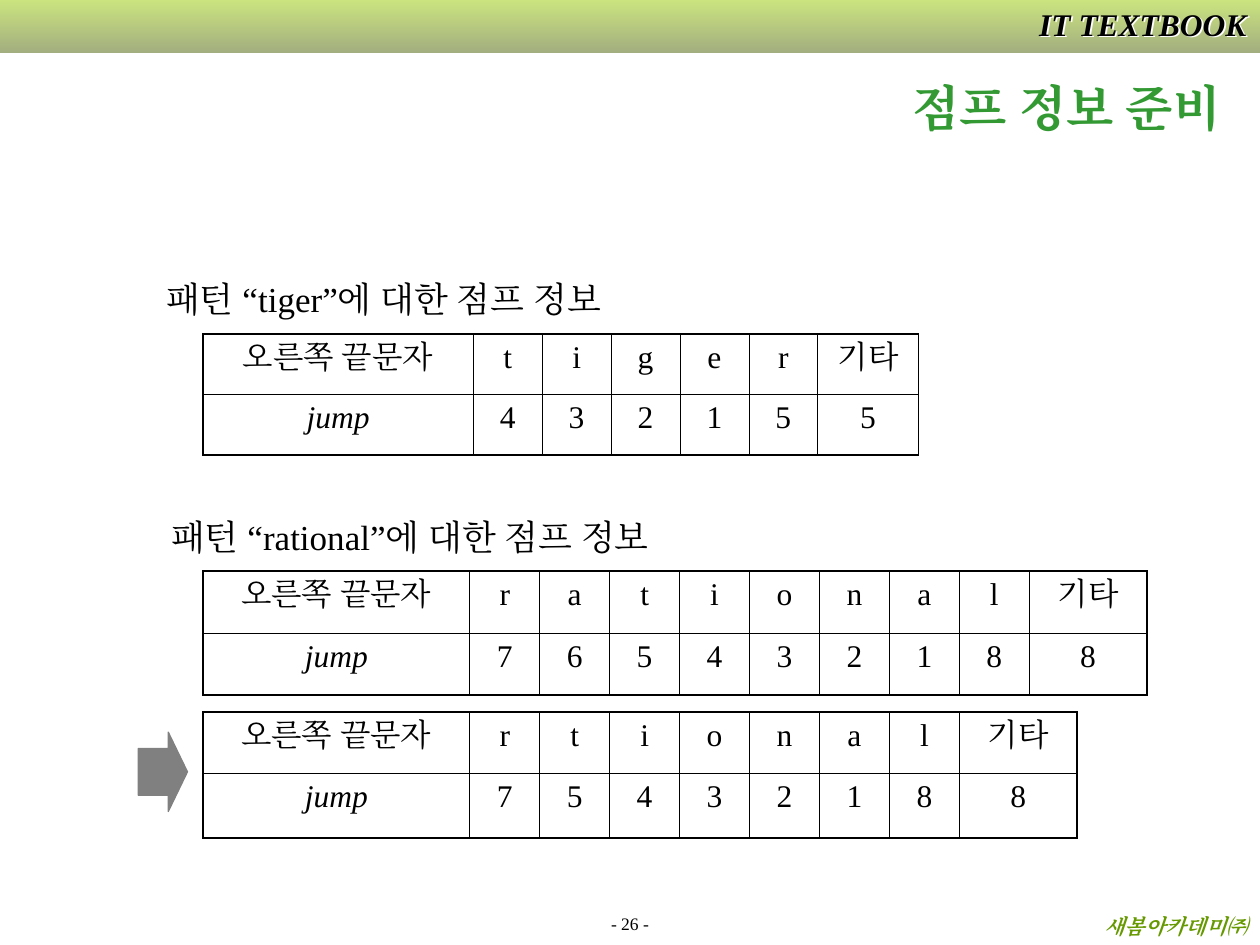
from lxml import etree
from pptx import Presentation
from pptx import util as u
from pptx.dml.color import RGBColor
from pptx.enum import shapes, text
from pptx.oxml import ns

Cm, Pt = u.Cm, u.Pt
LEFT, CENTER, RIGHT = text.PP_ALIGN.LEFT, text.PP_ALIGN.CENTER, text.PP_ALIGN.RIGHT
TOP, MIDDLE, BOTTOM = text.MSO_ANCHOR.TOP, text.MSO_ANCHOR.MIDDLE, text.MSO_ANCHOR.BOTTOM


def rgb(hex_value):
    return RGBColor.from_string(hex_value)


def add_xml(parent, tag, **attributes):
    return etree.SubElement(parent, ns.qn(tag), attributes)


class SlideBuilder:
    font = "Times New Roman"
    ink = "000000"
    outer_line, inner_line = 1.08, 0.45

    def __init__(self, slide):
        self.slide = slide

    def format_runs(self, frame, size, color=ink, bold=False, italic=False, align=LEFT):
        for paragraph in frame.paragraphs:
            paragraph.alignment = align
            for run in paragraph.runs:
                run.font.name = self.font
                run.font.size = Pt(size)
                run.font.bold = bold
                run.font.italic = italic
                run.font.color.rgb = rgb(color)
                latin = run._r.rPr.find(ns.qn("a:latin"))
                east_asian = etree.Element(ns.qn("a:ea"), typeface=self.font)
                latin.addnext(east_asian)

    def title(self, words, box, size, color):
        heading = self.slide.shapes.title
        heading.left, heading.top, heading.width, heading.height = map(Cm, box)
        frame = heading.text_frame
        frame.text = words
        frame.vertical_anchor = MIDDLE
        frame.auto_size = text.MSO_AUTO_SIZE.NONE
        self.format_runs(frame, size, color, bold=True, align=CENTER)

    def label(self, words, box, size, anchor=TOP, **style):
        label = self.slide.shapes.add_textbox(*map(Cm, box))
        frame = label.text_frame
        frame.word_wrap = True
        frame.vertical_anchor = anchor
        frame.text = words
        self.format_runs(frame, size, **style)
        return label

    def text_shadow(self, label, color):
        effects = add_xml(label._element.spPr, "a:effectLst")
        shadow = add_xml(effects, "a:outerShdw", dist="17961", dir="2700000")
        add_xml(shadow, "a:srgbClr", val=color)

    def shape(self, kind, box):
        figure = self.slide.shapes.add_shape(kind, *map(Cm, box))
        figure.shadow.inherit = False
        return figure

    def gradient_band(self, box, colors, opacity):
        band = self.shape(shapes.MSO_SHAPE.RECTANGLE, box)
        band.line.fill.background()
        band.fill.gradient()
        band.fill.gradient_angle = 270
        for stop, color, position in zip(band.fill.gradient_stops, colors, (0, 1)):
            stop.color.rgb = rgb(color)
            stop.position = position
        for color_xml in band._element.spPr.iter(ns.qn("a:srgbClr")):
            add_xml(color_xml, "a:alpha", val=str(opacity * 1000))

    def arrow(self, box, color, adjustments):
        arrow = self.shape(shapes.MSO_SHAPE.RIGHT_ARROW, box)
        arrow.fill.solid()
        arrow.fill.fore_color.rgb = rgb(color)
        arrow.line.color.rgb = rgb(color)
        arrow.line.width = Pt(0.75)
        for index, value in enumerate(adjustments):
            arrow.adjustments[index] = value

    def border(self, cell, side, outer):
        width = Pt(self.outer_line if outer else self.inner_line)
        line = add_xml(cell._tc.get_or_add_tcPr(), f"a:ln{side}", w=str(width))
        add_xml(add_xml(line, "a:solidFill"), "a:srgbClr", val=self.ink)

    def jump_table(self, top, letters, jumps, widths, heights):
        first, middle, last = widths
        columns = [first] + [middle] * len(letters) + [last]
        rows = [["오른쪽 끝문자", *letters, "기타"], ["jump", *jumps]]
        table = self.slide.shapes.add_table(
            len(rows), len(columns), Cm(4.09), Cm(top), Cm(sum(columns)), Cm(sum(heights))
        ).table
        table.first_row = table.horz_banding = False
        for column, width in zip(table.columns, columns):
            column.width = Cm(width)
        for r, (row, height) in enumerate(zip(rows, heights)):
            table.rows[r].height = Cm(height)
            for c, words in enumerate(row):
                cell = table.cell(r, c)
                edges = {"L": c == 0, "R": c == len(columns) - 1,
                         "T": r == 0, "B": r == len(rows) - 1}
                for side, outer in edges.items():
                    self.border(cell, side, outer)
                cell.fill.solid()
                cell.fill.fore_color.rgb = rgb("FFFFFF")
                cell.text_frame.text = words
                cell.text_frame.paragraphs[0].space_before = Pt(4.5)
                self.format_runs(cell.text_frame, 18, italic=words == "jump", align=CENTER)


def main():
    deck = Presentation()
    deck.slide_width, deck.slide_height = Cm(25.4), Cm(19.05)
    page = SlideBuilder(deck.slides.add_slide(deck.slide_layouts[5]))

    page.gradient_band((0, 0, 25.4, 1.07), ("99CC00", "475E00"), 50)
    page.label("- 26 -", (0, 18.39, 25.4, 0.56), 10, anchor=BOTTOM, align=CENTER)
    page.label("새봄아카데미㈜", (0.15, 18.29, 25.25, 0.76), 12,
               color="669900", bold=True, italic=True, align=RIGHT)
    series = page.label("IT TEXTBOOK", (20.02, -0.03, 5.36, 1.02), 18,
                        bold=True, italic=True, align=RIGHT)
    page.text_shadow(series, "FFFFFF")
    page.title("점프 정보 준비", (17.6, 1.07, 7.8, 2.16), 28, "339933")

    page.label("패턴 “tiger”에 대한 점프 정보", (3.1, 5.46, 10.6, 1.12), 20)
    page.jump_table(6.73, "tiger", "432155", (5.45, 1.39, 2.03), (1.22, 1.22))

    page.label("패턴 “rational”에 대한 점프 정보", (3.2, 10.26, 11.6, 1.12), 20)
    rational_widths = (5.38, 1.41, 2.37)
    page.jump_table(11.51, "rational", "765432188", rational_widths, (1.25, 1.25))
    page.jump_table(14.35, "rtional", "75432188", rational_widths, (1.24, 1.3))
    page.arrow((2.79, 14.76, 0.99, 1.6), "808080", (0.59, 0.39))

    deck.save("out.pptx")


if __name__ == "__main__":
    main()
